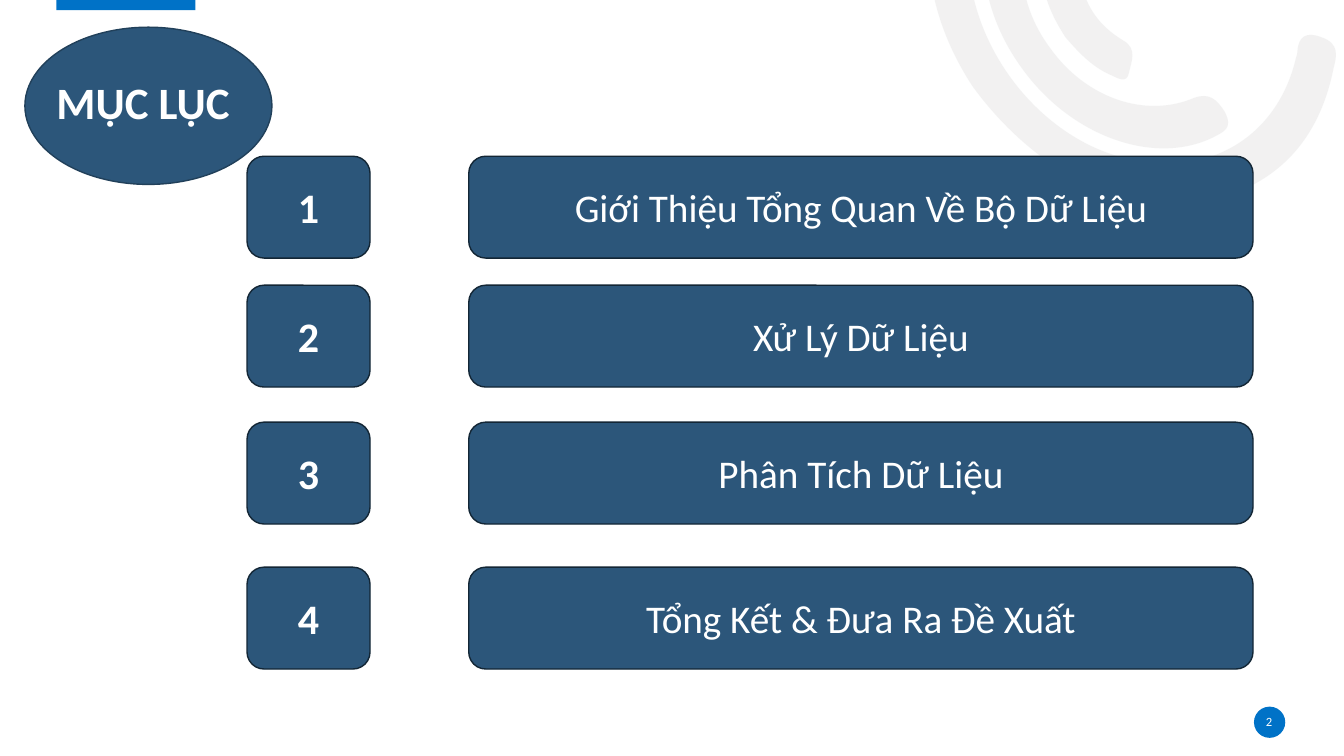
from dataclasses import dataclass
from math import cos, radians, sin

from lxml import etree
from pptx import Presentation
from pptx.dml.color import RGBColor
from pptx.enum.shapes import MSO_SHAPE
from pptx.enum.text import MSO_ANCHOR, PP_ALIGN
from pptx.oxml.ns import qn
from pptx.shapes.autoshape import Shape
from pptx.slide import Slide
from pptx.util import Inches, Pt

RECTANGLE, ROUNDED, OVAL = MSO_SHAPE.RECTANGLE, MSO_SHAPE.ROUNDED_RECTANGLE, MSO_SHAPE.OVAL
MIDDLE, BOTTOM = MSO_ANCHOR.MIDDLE, MSO_ANCHOR.BOTTOM
LEFT, CENTER = PP_ALIGN.LEFT, PP_ALIGN.CENTER

SLIDE_WIDTH, SLIDE_HEIGHT = Inches(13.333), Inches(7.5)
GRID_UNIT = SLIDE_HEIGHT / 7.5  # arcs lie on a grid of 7.5 rows
ARC_ROTATION = 144.2

Point = tuple[float, float]


@dataclass(frozen=True)
class Theme:
    font: str = "Calibri"
    navy: str = "2C567A"
    navy_edge: str = "132635"
    title_edge: str = "21405A"
    accent: str = "0072C7"
    arc: str = "E7E6E6"
    arc_opacity: int = 53
    white: str = "FFFFFF"
    title_size: int = 32
    number_size: int = 30
    topic_size: int = 28
    page_size: int = 9


@dataclass(frozen=True)
class Box:
    """A frame in percent of the slide's width and height."""
    left: float
    top: float
    width: float
    height: float

    def frame(self) -> tuple[int, int, int, int]:
        return (round(SLIDE_WIDTH * self.left / 100), round(SLIDE_HEIGHT * self.top / 100),
                round(SLIDE_WIDTH * self.width / 100), round(SLIDE_HEIGHT * self.height / 100))


@dataclass(frozen=True)
class Arc:
    """A closed outline: a start, then two handles and an end for each curve."""
    box: Box
    start: Point
    curves: list[tuple[float, float, float, float, float, float]]


THEME = Theme()
TOPICS = ["Giới Thiệu Tổng Quan Về Bộ Dữ Liệu", "Xử Lý Dữ Liệu",
          "Phân Tích Dữ Liệu", "Tổng Kết & Đưa Ra Đề Xuất"]
ROW_TOP, ROW_STEP, ROW_GROWTH, ROW_HEIGHT = 20.67, 16.53, 0.53, 13.47
NUMBER_LEFT, NUMBER_WIDTH = 18.38, 9.15
TOPIC_LEFT, TOPIC_WIDTH = 34.88, 58.35

ARCS = [
    Arc(Box(70.58, -32.13, 24, 64.67), (9.65, 0.86), [
        (9.23, 0.22, 9.07, -0.54, 9.36, -1.26), (9.66, -2, 10.24, -2.32, 11.04, -2.27),
        (11.15, -2.26, 11.27, -2.27, 11.34, -2.15), (11.45, -1.99, 11.35, -1.84, 11.14, -1.86),
        (10.21, -1.96, 9.55, -1.31, 9.61, -0.35), (9.66, 0.5, 10.3, 1.32, 11.09, 1.55),
        (11.92, 1.8, 12.65, 1.4, 12.85, 0.6), (12.85, 0.58, 12.87, 0.55, 12.87, 0.51),
        (12.88, 0.36, 12.96, 0.31, 13.11, 0.37), (13.29, 0.43, 13.26, 0.56, 13.23, 0.67),
        (13.1, 1.33, 12.74, 1.76, 12.15, 1.95), (11.33, 2.22, 10.34, 1.8, 9.65, 0.86)]),
    Arc(Box(75, -19.47, 10.5, 46), (10.14, 0.68), [
        (9.65, 0.01, 9.63, -0.81, 10.08, -1.32), (10.15, -1.4, 10.22, -1.51, 10.35, -1.37),
        (10.47, -1.25, 10.49, -1.15, 10.38, -1.03), (10.04, -0.62, 10.06, 0, 10.42, 0.48),
        (10.77, 0.97, 11.36, 1.18, 11.85, 0.97), (11.99, 0.92, 12.07, 0.98, 12.15, 1.11),
        (12.24, 1.28, 12.13, 1.31, 12.04, 1.36), (11.46, 1.65, 10.63, 1.36, 10.14, 0.68)]),
    Arc(Box(78.9, -6.93, 3.83, 19.73), (10.57, 0.37), [
        (10.46, 0.2, 10.37, 0.02, 10.35, -0.17), (10.35, -0.24, 10.31, -0.36, 10.42, -0.34),
        (10.53, -0.33, 10.68, -0.35, 10.72, -0.18), (10.78, 0.08, 10.91, 0.26, 11.14, 0.4),
        (11.29, 0.48, 11.22, 0.62, 11.2, 0.72), (11.18, 0.84, 11.08, 0.77, 11.01, 0.74),
        (10.83, 0.66, 10.7, 0.52, 10.57, 0.37)]),
]


def paint(shape: Shape, fill: str, edge: str | None = None) -> None:
    shape.shadow.inherit = False
    shape.fill.solid()
    shape.fill.fore_color.rgb = RGBColor.from_string(fill)
    if edge:
        shape.line.color.rgb = RGBColor.from_string(edge)
        shape.line.width = Pt(1)
    else:
        shape.line.fill.background()


def add_panel(slide: Slide, kind: MSO_SHAPE, box: Box, fill: str,
              edge: str | None = None) -> Shape:
    shape = slide.shapes.add_shape(kind, *box.frame())
    paint(shape, fill, edge)
    return shape


def write(shape: Shape, text: str, size: int, bold: bool = False,
          alignment: PP_ALIGN = CENTER, anchor: MSO_ANCHOR = MIDDLE) -> None:
    text_frame = shape.text_frame
    text_frame.word_wrap = True
    text_frame.vertical_anchor = anchor
    paragraph = text_frame.paragraphs[0]
    paragraph.text = text
    paragraph.alignment = alignment
    font = paragraph.font
    font.name, font.size, font.bold = THEME.font, Pt(size), bold
    font.color.rgb = RGBColor.from_string(THEME.white)


def add_label(slide: Slide, box: Box) -> Shape:
    label = slide.shapes.add_textbox(*box.frame())
    frame = label.text_frame
    frame.margin_left = frame.margin_top = frame.margin_right = frame.margin_bottom = 0
    return label


def unrotate(x: float, y: float, box: Box) -> tuple[int, int]:
    """Turn a point on the slide into one inside the box before its rotation."""
    left, top, width, height = box.frame()
    across = x * GRID_UNIT - left - width / 2
    down = y * GRID_UNIT - top - height / 2
    angle = radians(ARC_ROTATION)
    return (round(across * cos(angle) + down * sin(angle) + width / 2),
            round(down * cos(angle) - across * sin(angle) + height / 2))


def add_arc(slide: Slide, arc: Arc) -> None:
    start = unrotate(*arc.start, arc.box)
    curves = [[unrotate(*curve[i:i + 2], arc.box) for i in (0, 2, 4)] for curve in arc.curves]
    builder = slide.shapes.build_freeform(*start)
    builder.add_line_segments([curve[-1] for curve in curves], close=True)
    shape = builder.convert_to_shape()
    shape.left, shape.top, shape.width, shape.height = arc.box.frame()
    shape.rotation = ARC_ROTATION
    paint(shape, THEME.arc)
    color = shape.fill._xPr.find(qn("a:solidFill"))[0]
    etree.SubElement(color, qn("a:alpha")).set("val", str(THEME.arc_opacity * 1000))

    # Bend the straight segments into Bézier curves
    outline = next(shape._element.iter(qn("a:path")))
    outline.set("w", str(shape.width))
    outline.set("h", str(shape.height))
    for segment in list(outline):
        outline.remove(segment)
    commands = [("a:moveTo", [start])] + [("a:cubicBezTo", curve) for curve in curves]
    for command, points in commands + [("a:close", [])]:
        segment = etree.SubElement(outline, qn(command))
        for x, y in points:
            etree.SubElement(segment, qn("a:pt"), x=str(x), y=str(y))


def main() -> None:
    presentation = Presentation()
    presentation.slide_width, presentation.slide_height = SLIDE_WIDTH, SLIDE_HEIGHT
    slide = presentation.slides.add_slide(presentation.slide_layouts[6])

    # Background decoration
    for arc in ARCS:
        add_arc(slide, arc)
    add_panel(slide, RECTANGLE, Box(4.2, -0.27, 10.35, 1.6), THEME.accent)

    # Title
    add_panel(slide, OVAL, Box(1.85, 3.6, 18.38, 20.8), THEME.navy, THEME.title_edge)
    title = add_label(slide, Box(4.2, 3.6, 91.43, 13.47))
    write(title, "MỤC LỤC", THEME.title_size, True, LEFT, BOTTOM)
    title.text_frame.paragraphs[0].line_spacing = 0.9

    # Page number
    add_panel(slide, OVAL, Box(93.3, 93.47, 2.33, 4.13), THEME.accent)
    write(add_label(slide, Box(93.23, 94.13, 2.4, 2.67)), "2", THEME.page_size)

    # Contents: the gap between rows widens steadily
    for index, topic in enumerate(TOPICS):
        top = ROW_TOP + ROW_STEP * index + ROW_GROWTH * index ** 2
        cells = [(TOPIC_LEFT, TOPIC_WIDTH, topic, THEME.topic_size, False),
                 (NUMBER_LEFT, NUMBER_WIDTH, str(index + 1), THEME.number_size, True)]
        for left, width, text, size, bold in cells:
            panel = add_panel(slide, ROUNDED, Box(left, top, width, ROW_HEIGHT),
                              THEME.navy, THEME.navy_edge)
            write(panel, text, size, bold)

    presentation.save("out.pptx")


if __name__ == "__main__":
    main()
